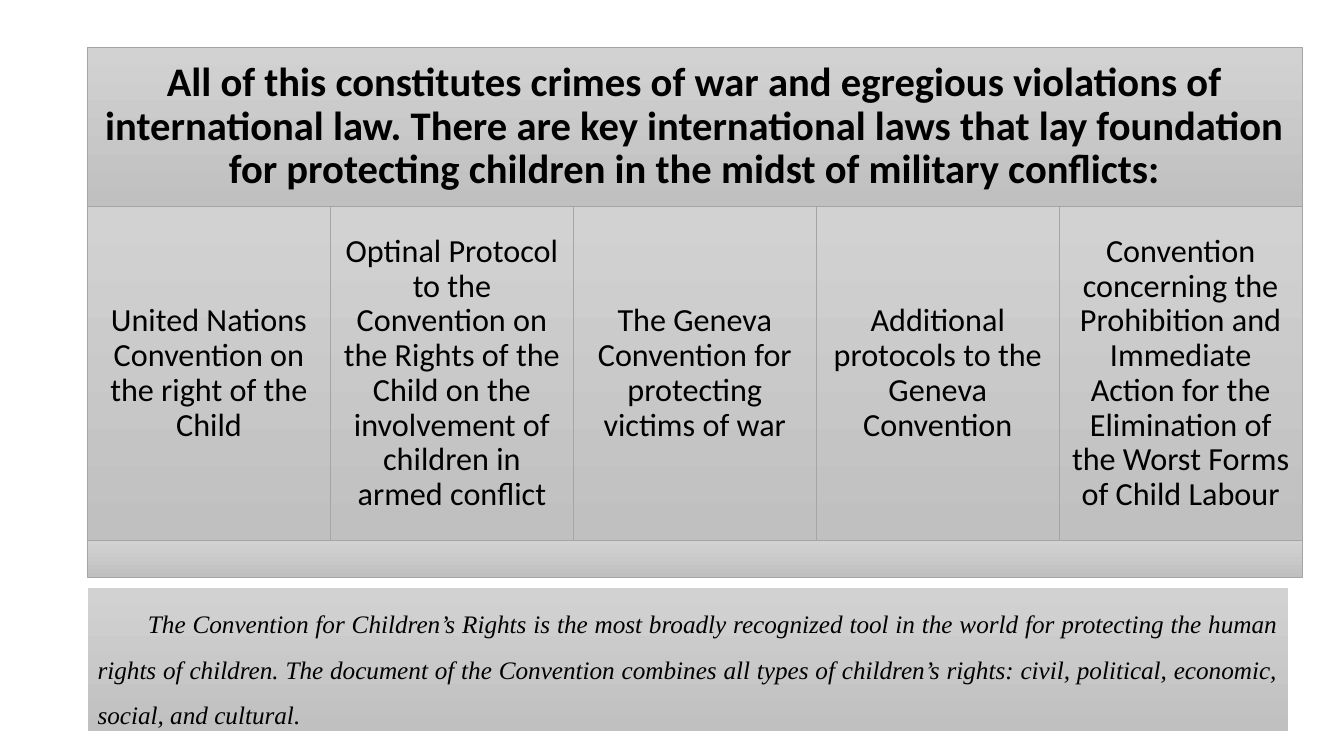
from pptx import Presentation
from pptx import util as u
from pptx.dml.color import RGBColor
from pptx.enum import shapes, text

LAWS = [
    "United Nations Convention on the right of the Child",
    "Optinal Protocol to the Convention on the Rights of the Child "
    "on the involvement of children in armed conflict",
    "The Geneva Convention for protecting victims of war",
    "Additional protocols to the Geneva Convention",
    "Convention concerning the Prohibition and Immediate Action for "
    "the Elimination of the Worst Forms of Child Labour",
]


def color(hex_string):
    return RGBColor.from_string(hex_string)


def style_panel(shape, outlined=True):
    """Give a shape the grey top-to-bottom gradient and an optional thin outline."""
    shape.shadow.inherit = False
    shape.fill.gradient()
    shape.fill.gradient_angle = 270
    for stop, shade in zip(shape.fill.gradient_stops, ("D2D2D2", "C0C0C0")):
        stop.color.rgb = color(shade)
    if outlined:
        shape.line.color.rgb = color("A5A5A5")
        shape.line.width = u.Pt(0.5)
    else:
        shape.line.fill.background()


def add_panel(slide, left, top, width, height, outlined=True):
    shape = slide.shapes.add_shape(
        shapes.MSO_SHAPE.RECTANGLE, u.Pt(left), u.Pt(top), u.Pt(width), u.Pt(height))
    style_panel(shape, outlined)
    return shape


def write(shape, words, size, inset, space_after, line_spacing=0.9, font="Calibri",
          alignment=text.PP_ALIGN.CENTER):
    """Fill a shape with one paragraph and return that paragraph."""
    frame = shape.text_frame
    frame.word_wrap = True
    frame.auto_size = text.MSO_AUTO_SIZE.NONE
    frame.vertical_anchor = text.MSO_ANCHOR.MIDDLE
    frame.margin_left = frame.margin_right = u.Pt(inset)
    frame.margin_top = frame.margin_bottom = u.Pt(inset)
    frame.text = words
    paragraph = frame.paragraphs[0]
    paragraph.alignment = alignment
    paragraph.line_spacing = line_spacing
    paragraph.space_after = u.Pt(space_after)
    paragraph.font.name = font
    paragraph.font.size = u.Pt(size)
    paragraph.font.color.rgb = color("000000")
    return paragraph


def place_heading(slide, left, top, width, height):
    title = slide.shapes.title
    title.left, title.top = u.Pt(left), u.Pt(top)
    title.width, title.height = u.Pt(width), u.Pt(height)
    style_panel(title)
    paragraph = write(
        title,
        "All of this constitutes crimes of war and egregious violations of international "
        "law. There are key international laws that lay foundation for protecting "
        "children in the midst of military conflicts:",
        size=29, inset=8.7, space_after=10)
    paragraph.font.bold = True


def add_law_columns(slide, left, top, width, height):
    column_width = width / len(LAWS)
    for index, law in enumerate(LAWS):
        column = add_panel(slide, left + index * column_width, top, column_width, height)
        write(column, law, size=23, inset=7, space_after=8)


def add_closing_note(slide, left, top, width, height):
    note = add_panel(slide, left, top, width, height, outlined=False)
    paragraph = write(
        note,
        "The Convention for Children’s Rights is the most broadly recognized tool in the "
        "world for protecting the human rights of children. The document of the Convention "
        "combines all types of children’s rights: civil, political, economic, social, "
        "and cultural.",
        size=18, inset=7.2, space_after=8, line_spacing=1.5, font="Times New Roman",
        alignment=text.PP_ALIGN.JUSTIFY)
    paragraph.font.italic = True
    paragraph._p.get_or_add_pPr().set("indent", str(u.Pt(36)))
    frame = note.text_frame
    frame.vertical_anchor = text.MSO_ANCHOR.TOP
    frame.margin_top = frame.margin_bottom = u.Pt(3.6)
    frame.auto_size = text.MSO_AUTO_SIZE.SHAPE_TO_FIT_TEXT


def main():
    presentation = Presentation()
    presentation.slide_width, presentation.slide_height = u.Pt(960), u.Pt(540)
    slide = presentation.slides.add_slide(presentation.slide_layouts[5])
    left, width = 62.6, 867.6
    place_heading(slide, left, 33.8, width, 113.8)
    add_law_columns(slide, left, 147.6, width, 238.3)
    add_panel(slide, left, 385.9, width, 26.6)
    add_closing_note(slide, left, 420.3, 857.5, 102.2)
    presentation.save("out.pptx")


if __name__ == "__main__":
    main()
